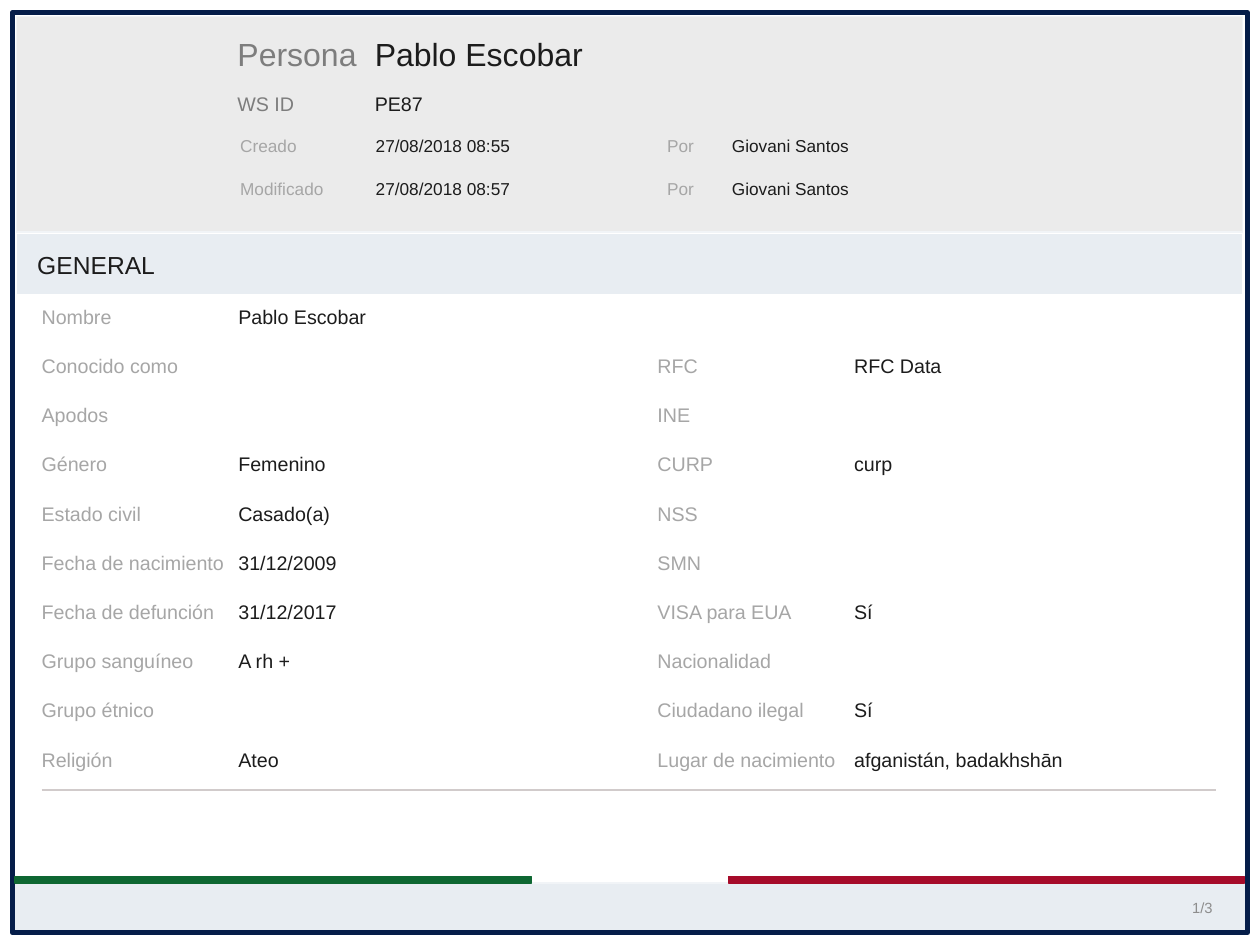
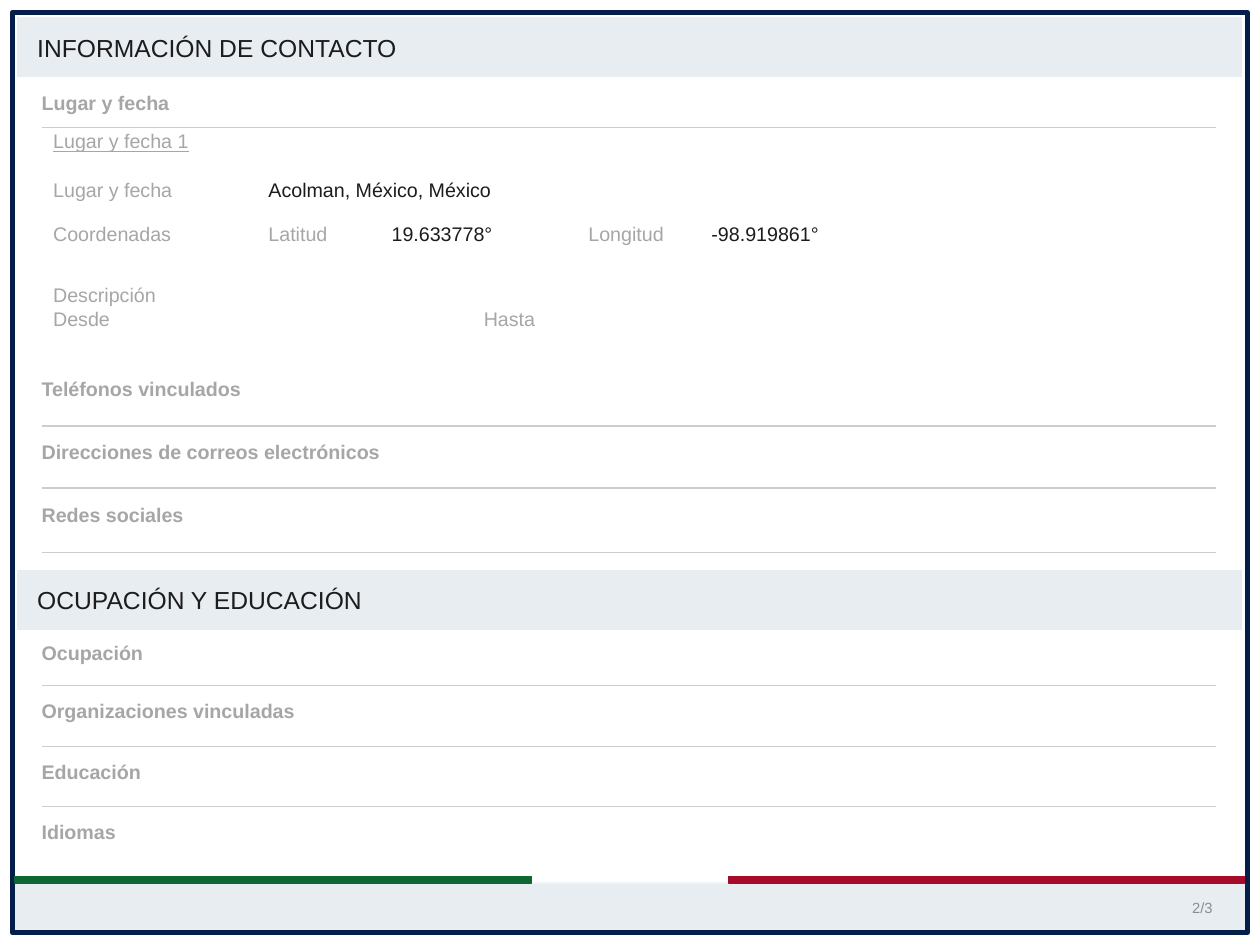
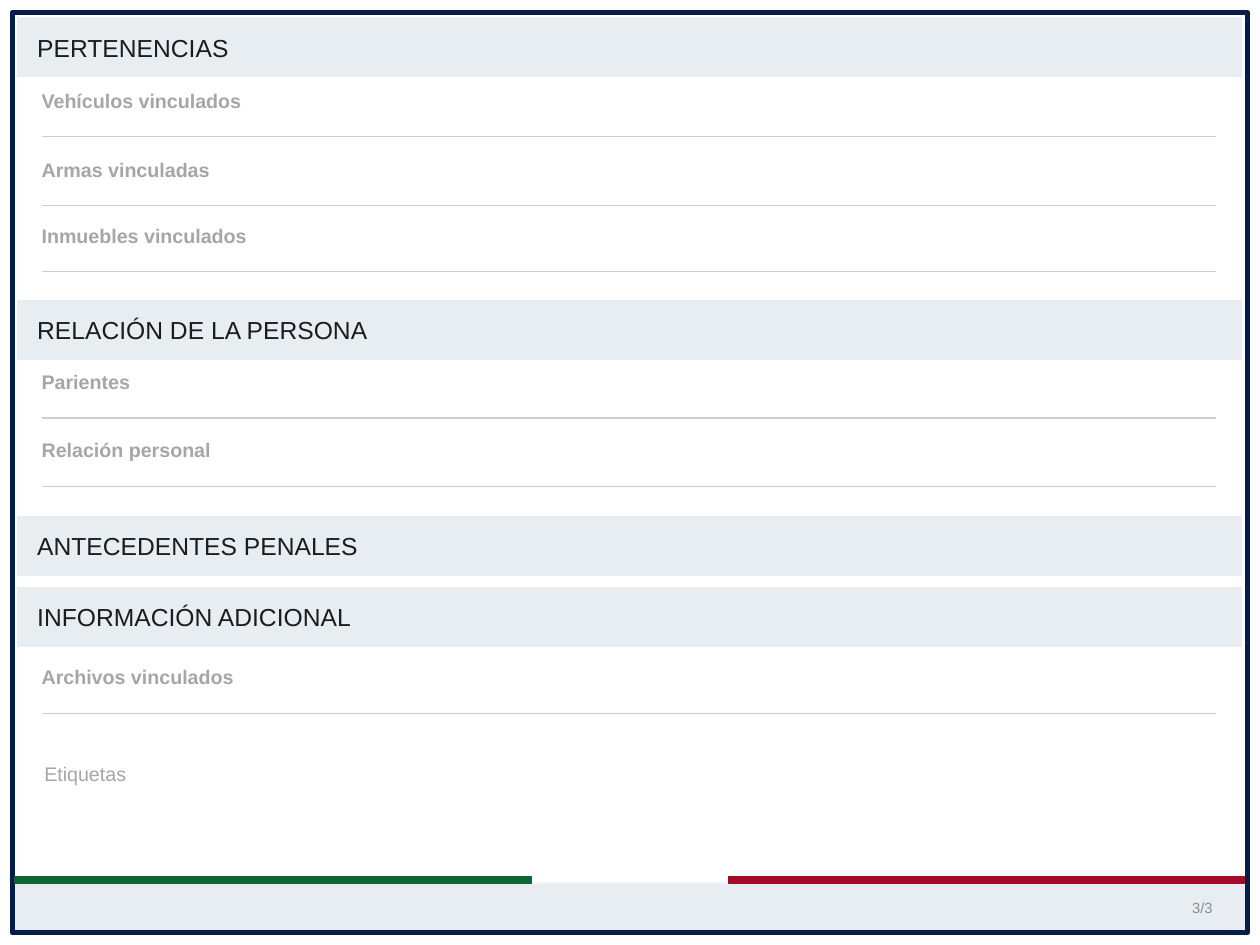
"""Build a three-page person record with shared frame, footer and section bands."""
from lxml import etree
from pptx import Presentation
from pptx.dml.color import RGBColor
from pptx.enum.shapes import MSO_CONNECTOR, MSO_SHAPE
from pptx.enum.text import MSO_ANCHOR, PP_ALIGN
from pptx.oxml.ns import qn
from pptx.util import Inches, Pt

RECTANGLE = MSO_SHAPE.RECTANGLE
STRAIGHT = MSO_CONNECTOR.STRAIGHT
TOP, MIDDLE = MSO_ANCHOR.TOP, MSO_ANCHOR.MIDDLE
LEFT, CENTER = PP_ALIGN.LEFT, PP_ALIGN.CENTER

COLORS = {
    "page": "FFFFFF", "band": "E8EDF2", "edge": "F1F4F7", "panel": "EBEBEB",
    "frame": "051D49", "red": "A60B2A", "green": "0E6732", "rule": "D1CBCB",
    "ink": "1C1C1C", "label": "A6A6A6", "caption": "7D7D7D", "number": "8D8D8D",
}

STYLES = {
    "section": ("ink", {"size": Pt(20)}),
    "heading": ("label", {"size": Pt(16), "bold": True}),
    "entry": ("label", {"size": Pt(16), "underline": True}),
    "label": ("label", {"size": Pt(16)}),
    "value": ("ink", {"size": Pt(16)}),
    "small label": ("label", {"size": Pt(14)}),
    "small value": ("ink", {"size": Pt(14)}),
    "name label": ("caption", {"size": Pt(26)}),
    "name": ("ink", {"size": Pt(26)}),
    "id label": ("caption", {"size": Pt(16)}),
    "number": ("number", {"size": Pt(12)}),
}

MARGIN, RULE_END = 0.47, 13.72
BAND_LEFT, BAND_WIDTH, BAND_HEIGHT = 0.19, 13.83, 0.69
ROW_HEIGHT = 0.42

person_rows = [
    ("Nombre", "Pablo Escobar", "", ""),
    ("Conocido como", "", "RFC", "RFC Data"),
    ("Apodos", "", "INE", ""),
    ("Género", "Femenino", "CURP", "curp"),
    ("Estado civil", "Casado(a)", "NSS", ""),
    ("Fecha de nacimiento", "31/12/2009", "SMN", ""),
    ("Fecha de defunción", "31/12/2017", "VISA para EUA", "Sí"),
    ("Grupo sanguíneo", "A rh +", "Nacionalidad", ""),
    ("Grupo étnico", "", "Ciudadano ilegal", "Sí"),
    ("Religión", "Ateo", "Lugar de nacimiento", "afganistán, badakhshān"),
]
person_columns = [
    (MARGIN, 2.22, "label"), (2.69, 4.44, "value"),
    (7.42, 2.22, "label"), (9.64, 4.31, "value"),
]
history_rows = [
    ("Creado", "27/08/2018 08:55", "Por", "Giovani Santos"),
    ("Modificado", "27/08/2018 08:57", "Por", "Giovani Santos"),
]
history_columns = [
    (2.71, 1.53, "small label"), (4.24, 2.78, "small value"),
    (7.53, 0.74, "small label"), (8.26, 5.5, "small value"),
]

person_fields = [
    ("Persona", 2.68, 0.39, 1.48, "name label"),
    ("Pablo Escobar", 4.23, 0.39, 9.37, "name"),
    ("WS ID", 2.68, 1.04, 1.04, "id label"),
    ("PE87", 4.23, 1.04, 3.04, "value"),
]
for rows, columns, first, pitch in [
    (person_rows, person_columns, 3.44, 5 / 9),
    (history_rows, history_columns, 1.53, 0.48),
]:
    for index, row in enumerate(rows):
        for text, (left, width, style) in zip(row, columns):
            if text:
                person_fields.append((text, left, first + index * pitch, width, style))

contact_fields = [
    ("Lugar y fecha 1", 0.6, 1.46, 2.22, "entry"),
    ("Lugar y fecha", 0.6, 2.01, 2.22, "label"),
    ("Acolman, México, México", 3.03, 2.01, 9.44, "value"),
    ("Coordenadas", 0.6, 2.5, 2.22, "label"),
    ("Latitud", 3.03, 2.5, 1.39, "label"),
    ("19.633778°", 4.42, 2.5, 1.67, "value"),
    ("Longitud", 6.64, 2.5, 1.39, "label"),
    ("-98.919861°", 8.03, 2.5, 1.67, "value"),
    ("Descripción", 0.6, 3.19, 2.22, "label"),
    ("Desde", 0.6, 3.47, 2.22, "label"),
    ("Hasta", 5.46, 3.47, 2.22, "label"),
]

PAGES = [
    {
        "panels": [(0.19, 2.43)],
        "bands": [("GENERAL", 2.64)],
        "headings": [],
        "rules": [8.92],
        "fields": person_fields,
    },
    {
        "panels": [],
        "bands": [("INFORMACIÓN DE CONTACTO", 0.19), ("OCUPACIÓN Y EDUCACIÓN", 6.43)],
        "headings": [
            ("Lugar y fecha", 1.03), ("Teléfonos vinculados", 4.26),
            ("Direcciones de correos electrónicos", 4.97), ("Redes sociales", 5.68),
            ("Ocupación", 7.24), ("Organizaciones vinculadas", 7.89),
            ("Educación", 8.58), ("Idiomas", 9.26),
        ],
        "rules": [1.44, 4.81, 5.51, 6.24, 7.74, 8.43, 9.11],
        "fields": contact_fields,
    },
    {
        "panels": [],
        "bands": [
            ("PERTENENCIAS", 0.19), ("RELACIÓN DE LA PERSONA", 3.38),
            ("ANTECEDENTES PENALES", 5.82), ("INFORMACIÓN ADICIONAL", 6.62),
        ],
        "headings": [
            ("Vehículos vinculados", 1), ("Armas vinculadas", 1.78),
            ("Inmuebles vinculados", 2.53), ("Parientes", 4.18),
            ("Relación personal", 4.94), ("Archivos vinculados", 7.51),
        ],
        "rules": [1.54, 2.32, 3.07, 4.72, 5.49, 8.06],
        "fields": [("Etiquetas", 0.5, 8.6, 1.94, "label")],
    },
]


def add_block(page, left, top, width, height, fill, line, weight=1):
    block = page.shapes.add_shape(
        RECTANGLE, Inches(left), Inches(top), Inches(width), Inches(height))
    block.shadow.inherit = False
    if fill:
        block.fill.solid()
        block.fill.fore_color.rgb = RGBColor.from_string(COLORS[fill])
    else:
        block.fill.background()
    block.line.color.rgb = RGBColor.from_string(COLORS[line])
    block.line.width = Pt(weight)


def add_text(page, text, left, top, width, style, height=ROW_HEIGHT, anchor=TOP, align=LEFT):
    box = page.shapes.add_textbox(Inches(left), Inches(top), Inches(width), Inches(height))
    frame = box.text_frame
    frame.word_wrap = True
    frame.vertical_anchor = anchor
    for side in ("left", "top", "right", "bottom"):
        setattr(frame, f"margin_{side}", 0)
    para = frame.paragraphs[0]
    para.alignment = align
    span = para.add_run()
    span.text = text
    color, formats = STYLES[style]
    span.font.name = "Arial"
    span.font.color.rgb = RGBColor.from_string(COLORS[color])
    for name, value in formats.items():
        setattr(span.font, name, value)


deck = Presentation()
deck.slide_width, deck.slide_height = Inches(14.22), Inches(10.67)

for number, content in enumerate(PAGES, 1):
    page = deck.slides.add_slide(deck.slide_layouts[6])
    page.background.fill.solid()
    page.background.fill.fore_color.rgb = RGBColor.from_string(COLORS["page"])

    add_block(page, 0.14, 9.97, 13.92, 0.56, "band", "edge")
    add_block(page, 0.14, 0.14, 13.94, 10.39, None, "frame", 4)
    add_text(page, f"{number}/{len(PAGES)}", 13.25, 10.03, 0.64, "number", 0.44, MIDDLE, CENTER)
    for left, color in [(8.22, "red"), (0.17, "green")]:
        add_block(page, left, 9.9, 5.83, 0.07, color, color)

    for title, top in content["bands"]:
        add_block(page, BAND_LEFT, top, BAND_WIDTH, BAND_HEIGHT, "band", "page")
        add_text(page, title, 0.42, top, 13.53, "section", BAND_HEIGHT, MIDDLE)
    for top, height in content["panels"]:
        add_block(page, BAND_LEFT, top, BAND_WIDTH, height, "panel", "edge")

    for top in content["rules"]:
        rule = page.shapes.add_connector(
            STRAIGHT, Inches(MARGIN), Inches(top), Inches(RULE_END), Inches(top))
        rule.line.color.rgb = RGBColor.from_string(COLORS["rule"])
        rule.line.width = Pt(1)
        etree.SubElement(rule.line._get_or_add_ln().getparent(), qn("a:effectLst"))

    for text, top in content["headings"]:
        add_text(page, text, MARGIN, top, 8.36, "heading")
    for text, left, top, width, style in content["fields"]:
        height = 0.65 if style.startswith("name") else ROW_HEIGHT
        add_text(page, text, left, top, width, style, height)

deck.save("out.pptx")
